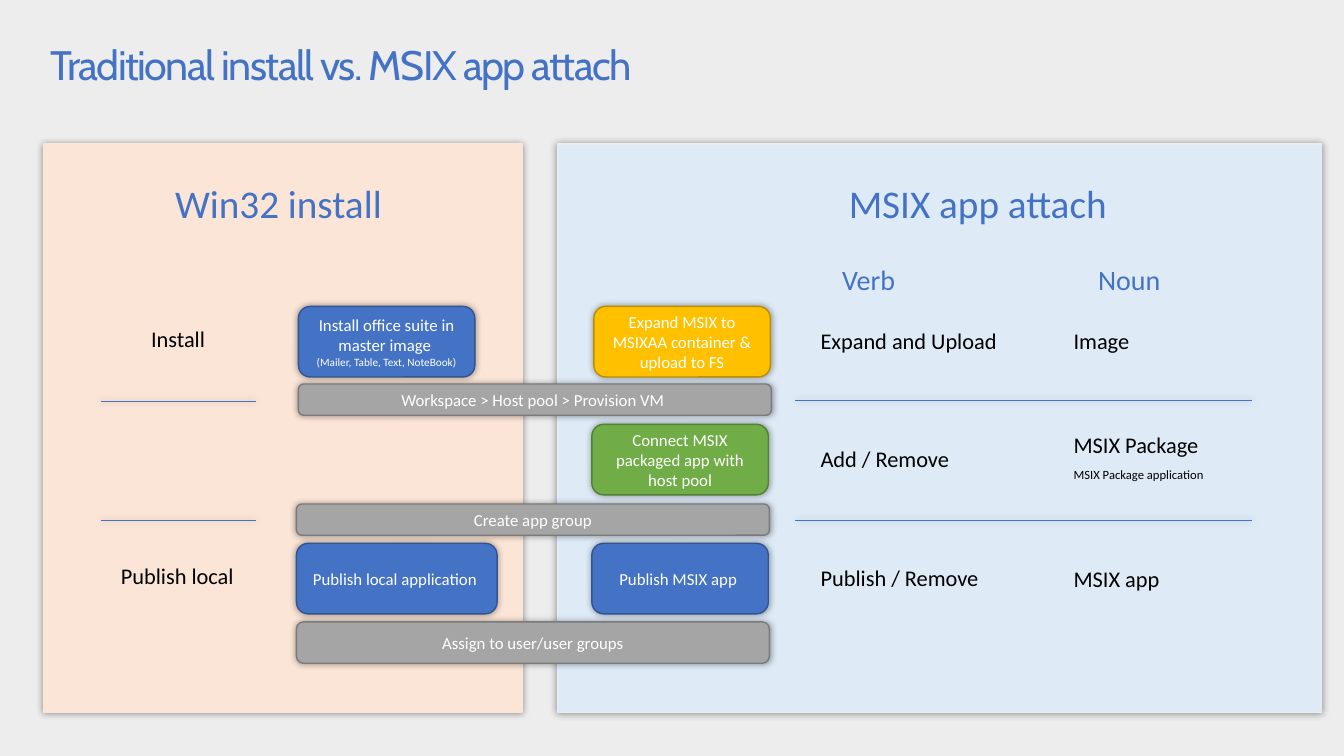
import pptx
import pptx.util
import pptx.oxml
import pptx.oxml.ns
import pptx.dml.color
import pptx.enum.shapes
import pptx.enum.text

Inches, Pt = pptx.util.Inches, pptx.util.Pt
SHAPE = pptx.enum.shapes.MSO_SHAPE
ALIGN = pptx.enum.text.PP_ALIGN

COLORS = {
    "bg": "EDEDED", "sky": "DEEBF7", "peach": "FBE5D6",
    "blue": "4472C4", "blue_edge": "325491",
    "green": "70AD47", "green_edge": "538035",
    "gray": "A5A5A5", "gray_edge": "7A7A7A",
    "gold": "FFC000", "gold_edge": "BD8E00",
    "white": "FFFFFF", "black": "000000",
}
TITLE = "Traditional install vs. MSIX app attach"
PANELS = [(5.53, 7.58, "sky", "bg"), (0.43, 4.75, "peach", "peach")]
STEPS = [
    (2.96, 3.04, 1.75, 0.7, "blue", [("Install office suite in master image ", 12, 0),
                                     ("(Mailer, Table, Text, NoteBook)", 8, 0)]),
    (5.87, 4.21, 1.75, 0.7, "green", [("Connect MSIX packaged app with host pool", 12, 0)]),
    (2.94, 6.17, 4.69, 0.41, "gray", [("Assign to user/user groups", 12, 0)]),
    (2.94, 5, 4.69, 0.31, "gray", [("Create app group", 12, 0)]),
    (2.96, 3.81, 4.69, 0.31, "gray", [("Workspace > Host pool > Provision VM ", 12, 0)]),
    (5.89, 3.04, 1.75, 0.7, "gold", [("Expand MSIX to MSIXAA container & upload to FS", 12, 0)]),
    (2.94, 5.39, 1.99, 0.7, "blue", [("Publish local application ", 12, 0)]),
    (5.87, 5.39, 1.75, 0.7, "blue", [("Publish MSIX app ", 12, 0)]),
]
LABELS = [
    (10.55, 3.2, 0.76, 0.37, [("Image", 16, 0)]),
    (10.55, 4.23, 1.56, 0.64, [("MSIX Package", 16, 0), ("MSIX Package application", 9, 6.5)]),
    (10.55, 5.56, 1.06, 0.37, [("MSIX app", 16, 0)]),
    (8.04, 5.55, 1.79, 0.37, [("Publish / Remove", 16, 0)]),
    (8.04, 4.37, 1.54, 0.37, [("Add / Remove", 16, 0)]),
    (8.04, 3.2, 1.97, 0.37, [("Expand and Upload", 16, 0)]),
    (1.4, 3.18, 0.74, 0.37, [("Install", 16, 0)]),
    (1.1, 5.53, 1.33, 0.37, [("Publish local", 16, 0)]),
]
HEADINGS = [
    (1.35, 1.73, 2.91, 0.57, "Win32 install ", 28, ALIGN.CENTER),
    (8.32, 1.73, 2.86, 0.57, "MSIX app attach", 28, ALIGN.LEFT),
    (8.14, 2.56, 0.95, 0.44, "Verb", 20, ALIGN.CENTER),
    (10.45, 2.56, 1.5, 0.44, "Noun", 20, ALIGN.CENTER),
]
RULES = [(7.89, 12.42, 3.97), (7.89, 12.42, 5.16), (1, 2.54, 3.98), (1, 2.54, 5.16)]


def rgb(name):
    return pptx.dml.color.RGBColor.from_string(COLORS[name])


def add_shadow(sp):
    sp._element.spPr.append(pptx.oxml.parse_xml(
        f'<a:effectLst {pptx.oxml.ns.nsdecls("a")}>'
        f'<a:outerShdw blurRad="{Pt(5)}" dist="0" dir="0" algn="ctr" rotWithShape="0">'
        f'<a:srgbClr val="{COLORS["black"]}"><a:alpha val="40000"/></a:srgbClr>'
        '</a:outerShdw></a:effectLst>'))


def write(sp, lines, color, align, wrap=True):
    tf = sp.text_frame
    tf.word_wrap = wrap
    tf.text = "\n".join(text for text, size, gap in lines)
    for p, (text, size, gap) in zip(tf.paragraphs, lines):
        p.alignment = align
        p.space_before = Pt(gap)
        p.font.name, p.font.size = "Calibri", Pt(size)
        for r in p.runs:
            r.font.name, r.font.size = "Calibri", Pt(size)
            r.font.color.rgb = rgb(color)


def add_box(s, kind, box, fill, edge):
    sp = s.shapes.add_shape(kind, *map(Inches, box))
    sp.fill.solid()
    sp.fill.fore_color.rgb = rgb(fill)
    sp.line.color.rgb = rgb(edge)
    sp.line.width = Pt(1)
    add_shadow(sp)
    return sp


def add_text(s, box, lines, color, align, wrap):
    sp = s.shapes.add_textbox(*map(Inches, box))
    write(sp, lines, color, align, wrap)
    sp.text_frame.auto_size = pptx.enum.text.MSO_AUTO_SIZE.SHAPE_TO_FIT_TEXT


def add_title(s):
    sp = s.shapes.title
    sp.left, sp.top, sp.width, sp.height = map(Inches, (0.5, 0.44, 12.34, 0.45))
    tf = sp.text_frame
    tf.text = TITLE
    tf.word_wrap = True
    tf.auto_size = pptx.enum.text.MSO_AUTO_SIZE.NONE
    tf.vertical_anchor = pptx.enum.text.MSO_ANCHOR.MIDDLE
    tf.margin_left = tf.margin_right = tf.margin_top = tf.margin_bottom = 0
    p = tf.paragraphs[0]
    p.alignment, p.line_spacing = ALIGN.LEFT, 0.9
    r = p.runs[0]
    r.font.name, r.font.size = "Cabin", Pt(29.4)
    r.font.color.rgb = rgb("blue")
    r.font._element.set("spc", "-110")


def main():
    prs = pptx.Presentation()
    prs.slide_width, prs.slide_height = Inches(13.33), Inches(7.5)
    s = prs.slides.add_slide(prs.slide_layouts[5])
    s.background.fill.solid()
    s.background.fill.fore_color.rgb = rgb("bg")

    for x, w, fill, edge in PANELS:
        add_box(s, SHAPE.RECTANGLE, (x, 1.43, w, 5.64), fill, edge)
    add_title(s)
    for *box, fill, lines in STEPS:
        sp = add_box(s, SHAPE.ROUNDED_RECTANGLE, box, fill, fill + "_edge")
        write(sp, lines, "white", ALIGN.CENTER)
        sp.text_frame.vertical_anchor = pptx.enum.text.MSO_ANCHOR.MIDDLE
    for *box, lines in LABELS:
        add_text(s, box, lines, "black", ALIGN.LEFT, False)
    for *box, text, size, align in HEADINGS:
        add_text(s, box, [(text, size, 0)], "blue", align, True)
    for x1, x2, y in RULES:
        rule = s.shapes.add_connector(pptx.enum.shapes.MSO_CONNECTOR.STRAIGHT,
                                      *map(Inches, (x1, y, x2, y)))
        rule.line.color.rgb = rgb("blue")
        rule.line.width = Pt(0.5)
        add_shadow(rule)
    prs.save("out.pptx")


if __name__ == "__main__":
    main()
